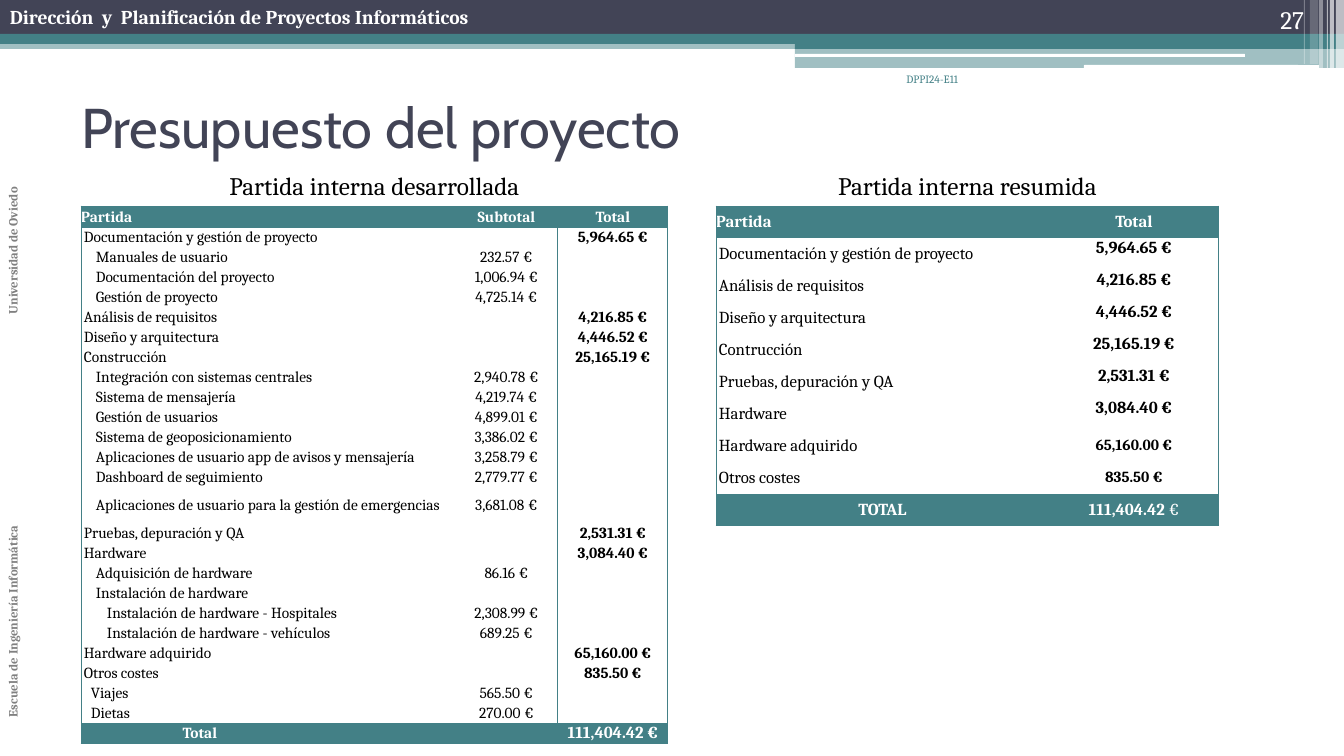
from lxml.etree import SubElement
from pptx import Presentation
from pptx.dml.color import RGBColor
from pptx.enum.shapes import MSO_SHAPE as Shape
from pptx.enum.text import MSO_ANCHOR as Anchor, MSO_AUTO_SIZE as AutoSize, PP_ALIGN as Align
from pptx.oxml.ns import qn
from pptx.util import Pt

PX = 914400 / 100.8
TEAL = RGBColor(0x43, 0x80, 0x86)
DARK = RGBColor(0x42, 0x44, 0x56)
GRAY = RGBColor(0x80, 0x80, 0x80)
WHITE = RGBColor(0xFF, 0xFF, 0xFF)
BLACK = RGBColor(0, 0, 0)
NO_STYLE = "{2D5ABB26-0587-4C30-8999-92F81FD0307C}"

# Left indents of the budget items
ITEM, COST, PART, DETAIL = 3, 10, 15, 26

BUDGET = [
    ("Documentación y gestión de proyecto", ITEM, "", "5,964.65 €"),
    ("Manuales de usuario", PART, "232.57 €", ""),
    ("Documentación del proyecto", PART, "1,006.94 €", ""),
    ("Gestión de proyecto", PART, "4,725.14 €", ""),
    ("Análisis de requisitos", ITEM, "", "4,216.85 €"),
    ("Diseño y arquitectura", ITEM, "", "4,446.52 €"),
    ("Construcción", ITEM, "", "25,165.19 €"),
    ("Integración con sistemas centrales", PART, "2,940.78 €", ""),
    ("Sistema de mensajería", PART, "4,219.74 €", ""),
    ("Gestión de usuarios", PART, "4,899.01 €", ""),
    ("Sistema de geoposicionamiento", PART, "3,386.02 €", ""),
    ("Aplicaciones de usuario app de avisos y mensajería", PART, "3,258.79 €", ""),
    ("Dashboard de seguimiento", PART, "2,779.77 €", ""),
    ("Aplicaciones de usuario para la gestión de emergencias", PART, "3,681.08 €", ""),
    ("Pruebas, depuración y QA", ITEM, "", "2,531.31 €"),
    ("Hardware", ITEM, "", "3,084.40 €"),
    ("Adquisición de hardware", PART, "86.16 €", ""),
    ("Instalación de hardware", PART, "", ""),
    ("Instalación de hardware - Hospitales", DETAIL, "2,308.99 €", ""),
    ("Instalación de hardware - vehículos", DETAIL, "689.25 €", ""),
    ("Hardware adquirido", ITEM, "", "65,160.00 €"),
    ("Otros costes", ITEM, "", "835.50 €"),
    ("Viajes", COST, "565.50 €", ""),
    ("Dietas", COST, "270.00 €", ""),
]
TALL_ROW = 14

SUMMARY = [
    ("Documentación y gestión de proyecto", "5,964.65 €", 12),
    ("Análisis de requisitos", "4,216.85 €", 12),
    ("Diseño y arquitectura", "4,446.52 €", 12),
    ("Contrucción", "25,165.19 €", 12),
    ("Pruebas, depuración y QA", "2,531.31 €", 12),
    ("Hardware", "3,084.40 €", 12),
    ("Hardware adquirido", "65,160.00 €", 11),
    ("Otros costes", "835.50 €", 11),
]


def px(length):
    return round(length * PX)


def add_run(paragraph, text, size, color, bold=False, font="Cambria"):
    run = paragraph.add_run()
    run.text = text
    run.font.name, run.font.size, run.font.bold = font, Pt(size), bold
    run.font.color.rgb = color


def add_bar(slide, box, color, opacity=100, kind=Shape.RECTANGLE):
    shape = slide.shapes.add_shape(kind, *map(px, box))
    shape.shadow.inherit = False
    shape.line.fill.background()
    shape.fill.solid()
    shape.fill.fore_color.rgb = color
    if opacity < 100:
        fill_color = shape.fill._xPr.find(".//" + qn("a:srgbClr"))
        SubElement(fill_color, qn("a:alpha"), val=str(opacity * 1000))


def add_text(slide, box, text, size, color, bold=False, align=Align.LEFT, anchor=Anchor.TOP):
    shape = slide.shapes.add_textbox(*map(px, box))
    frame = shape.text_frame
    frame.word_wrap, frame.vertical_anchor = True, anchor
    paragraph = frame.paragraphs[0]
    paragraph.alignment = align
    add_run(paragraph, text, size, color, bold)
    return frame


def add_header(slide, width):
    # Horizontal bands
    half = width - 549
    add_bar(slide, (0, 40, width, 9), TEAL, 50)
    add_bar(slide, (0, 0, width, 34), DARK)
    add_bar(slide, (0, 34, width, 10), TEAL)
    add_bar(slide, (half, 39, 549, 10), TEAL)
    add_bar(slide, (half, 48, 549, 20), TEAL, 50)
    add_bar(slide, (half, 54, 450, 3), WHITE, kind=Shape.ROUNDED_RECTANGLE)
    add_bar(slide, (half + 289, 65, 235, 4), WHITE, kind=Shape.ROUNDED_RECTANGLE)
    # Vertical stripes, measured from the right edge
    for offset, thickness, height, opacity in [
            (8, 8, 68, 65), (14, 4, 68, 65), (17, 1, 68, 60),
            (25, 4, 68, 40), (34, 8, 64, 20), (40, 1, 64, 30)]:
        add_bar(slide, (width - offset, 0, thickness, height), WHITE, opacity)
    # Course, group and page number
    add_text(slide, (0, 0, 831, 34), "Dirección  y  Planificación de Proyectos Informáticos", 14, WHITE, True)
    add_text(slide, (773, 67, 195, 50), "DPPI24-E11", 8, TEAL, align=Align.RIGHT)
    add_text(slide, (width - 142, 0, 112, 40), "27", 18, WHITE, align=Align.RIGHT, anchor=Anchor.BOTTOM)


def add_side_text(slide, box):
    frame = add_text(slide, box, "Escuela de Ingeniería Informática\tUniversidad de Oviedo", 9, GRAY, True)
    frame._txBody.bodyPr.set("vert", "vert270")
    tabs = SubElement(frame.paragraphs[0]._p.get_or_add_pPr(), qn("a:tabLst"))
    SubElement(tabs, qn("a:tab"), pos=str(px(403)), algn="l")


def add_title(slide, box):
    title = slide.shapes.title
    title.left, title.top, title.width, title.height = map(px, box)
    frame = title.text_frame
    frame.auto_size, frame.vertical_anchor = AutoSize.NONE, Anchor.MIDDLE
    paragraph = frame.paragraphs[0]
    paragraph.alignment = Align.LEFT
    add_run(paragraph, "Presupuesto del proyecto", 40, DARK, font="Cabin")


def fill_cell(cell, runs, size, color=BLACK, fill=WHITE, borders="", indent=0,
              align=Align.CENTER, anchor=Anchor.MIDDLE):
    """Runs are (text, bold) pairs; borders are sides in the order L, R, T, B."""
    cell.margin_left = px(indent)
    cell.margin_right = cell.margin_top = cell.margin_bottom = 0
    cell.vertical_anchor = anchor
    paragraph = cell.text_frame.paragraphs[0]
    paragraph.alignment = align
    for text, bold in runs:
        if text:
            add_run(paragraph, text, size, color, bold)
    SubElement(paragraph._p, qn("a:endParaRPr"), sz=str(size * 100))
    for side in borders:
        line = SubElement(cell._tc.get_or_add_tcPr(), qn("a:ln" + side), w=str(Pt(0.75)))
        solid = SubElement(line, qn("a:solidFill"))
        SubElement(solid, qn("a:srgbClr"), val=str(TEAL))
    cell.fill.solid()
    cell.fill.fore_color.rgb = fill


def add_budget(slide, left, top, caption, columns, rows):
    """Caption above an empty, unstyled table."""
    width = sum(columns)
    add_text(slide, (left, top, width, 40), caption, 18, BLACK, align=Align.CENTER)
    frame = slide.shapes.add_table(len(rows), len(columns), *map(px, (left, top + 41, width, sum(rows))))
    frame._element.find(".//" + qn("a:tableStyleId")).text = NO_STYLE
    table = frame.table
    table.horz_banding = False
    for column, length in zip(table.columns, columns):
        column.width = px(length)
    for row, length in zip(table.rows, rows):
        row.height = px(length)
    return table


def add_detailed_budget(slide, left, top):
    rows = [22] + [20] * (len(BUDGET) + 1)
    rows[TALL_ROW] = 36
    table = add_budget(slide, left, top, "Partida interna desarrollada", [238, 136, 103, 110], rows)
    last = len(BUDGET) + 1
    for row in range(last):
        table.cell(row, 0).merge(table.cell(row, 1))
    table.cell(last, 1).merge(table.cell(last, 2))
    # Heading, items and total
    fill_cell(table.cell(0, 0), [("Partida", True)], 11, WHITE, TEAL, "LT", align=Align.LEFT)
    fill_cell(table.cell(0, 2), [("Subtotal", True)], 11, WHITE, TEAL, "T")
    fill_cell(table.cell(0, 3), [("Total", True)], 11, WHITE, TEAL, "RT")
    for row, (name, indent, subtotal, total) in enumerate(BUDGET, 1):
        fill_cell(table.cell(row, 0), [(name, False)], 11, borders="L", indent=indent, align=Align.LEFT)
        fill_cell(table.cell(row, 2), [(subtotal, False)], 11)
        fill_cell(table.cell(row, 3), [(total, True)], 11, borders="LR")
    fill_cell(table.cell(last, 0), [("Total", True)], 11, WHITE, TEAL, "LB")
    fill_cell(table.cell(last, 1), [], 11, WHITE, TEAL, "B")
    fill_cell(table.cell(last, 3), [("111,404.42 €", True)], 12, WHITE, TEAL, "RB")


def add_summary_budget(slide, left, top):
    last = len(SUMMARY) + 1
    table = add_budget(slide, left, top, "Partida interna resumida", [333, 170], [32] * (last + 1))
    fill_cell(table.cell(0, 0), [("Partida", True)], 12, WHITE, TEAL, "LT", align=Align.LEFT)
    fill_cell(table.cell(0, 1), [("Total", True)], 12, WHITE, TEAL, "RT")
    for row, (name, total, size) in enumerate(SUMMARY, 1):
        fill_cell(table.cell(row, 0), [(name, False)], 12, borders="L", indent=ITEM, align=Align.LEFT)
        fill_cell(table.cell(row, 1), [(total, True)], size, borders="R",
                  anchor=Anchor.TOP if size == 12 else Anchor.MIDDLE)
    fill_cell(table.cell(last, 0), [("TOTAL", True)], 12, WHITE, TEAL, "LB")
    fill_cell(table.cell(last, 1), [("111,404.42", True), (" €", False)], 12, WHITE, TEAL, "RB")


def main():
    presentation = Presentation()
    presentation.slide_width, presentation.slide_height = px(1344), px(756)
    slide = presentation.slides.add_slide(presentation.slide_layouts[5])
    add_header(slide, 1344)
    add_side_text(slide, (0, 54, 35, 673))
    add_title(slide, (71, 67, 1210, 118))
    add_summary_budget(slide, 716, 165)
    add_detailed_budget(slide, 81, 165)
    presentation.save("out.pptx")


if __name__ == "__main__":
    main()
